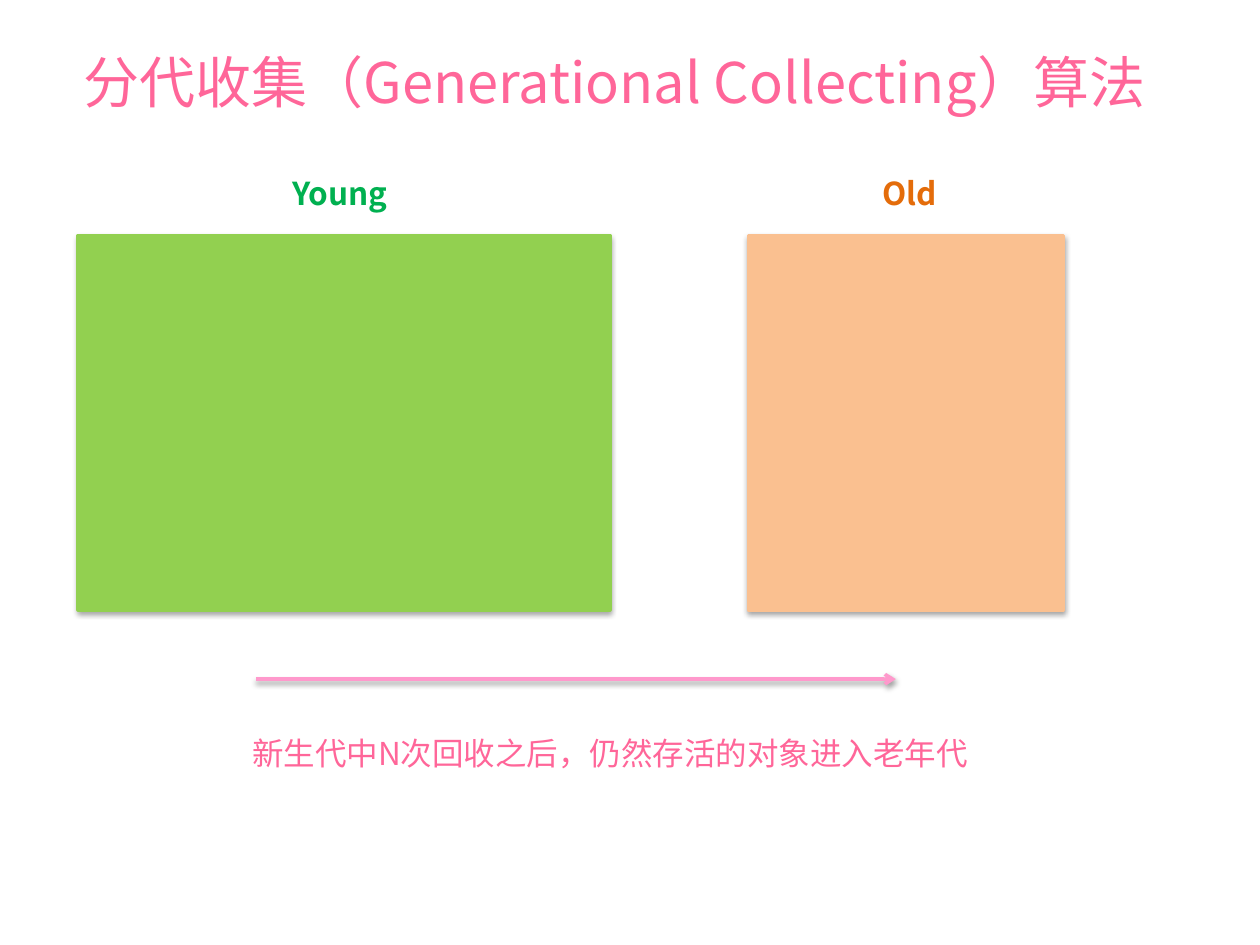
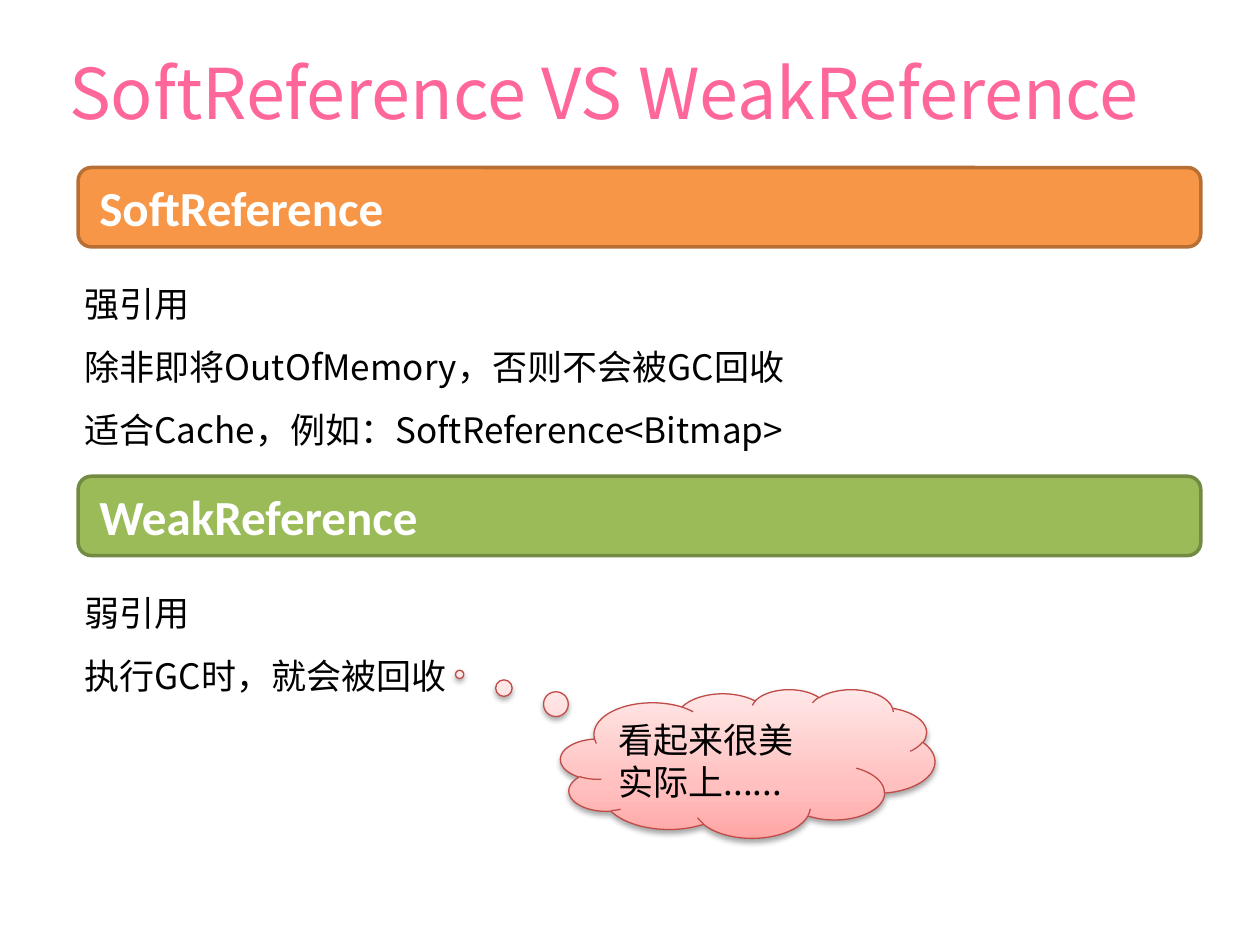
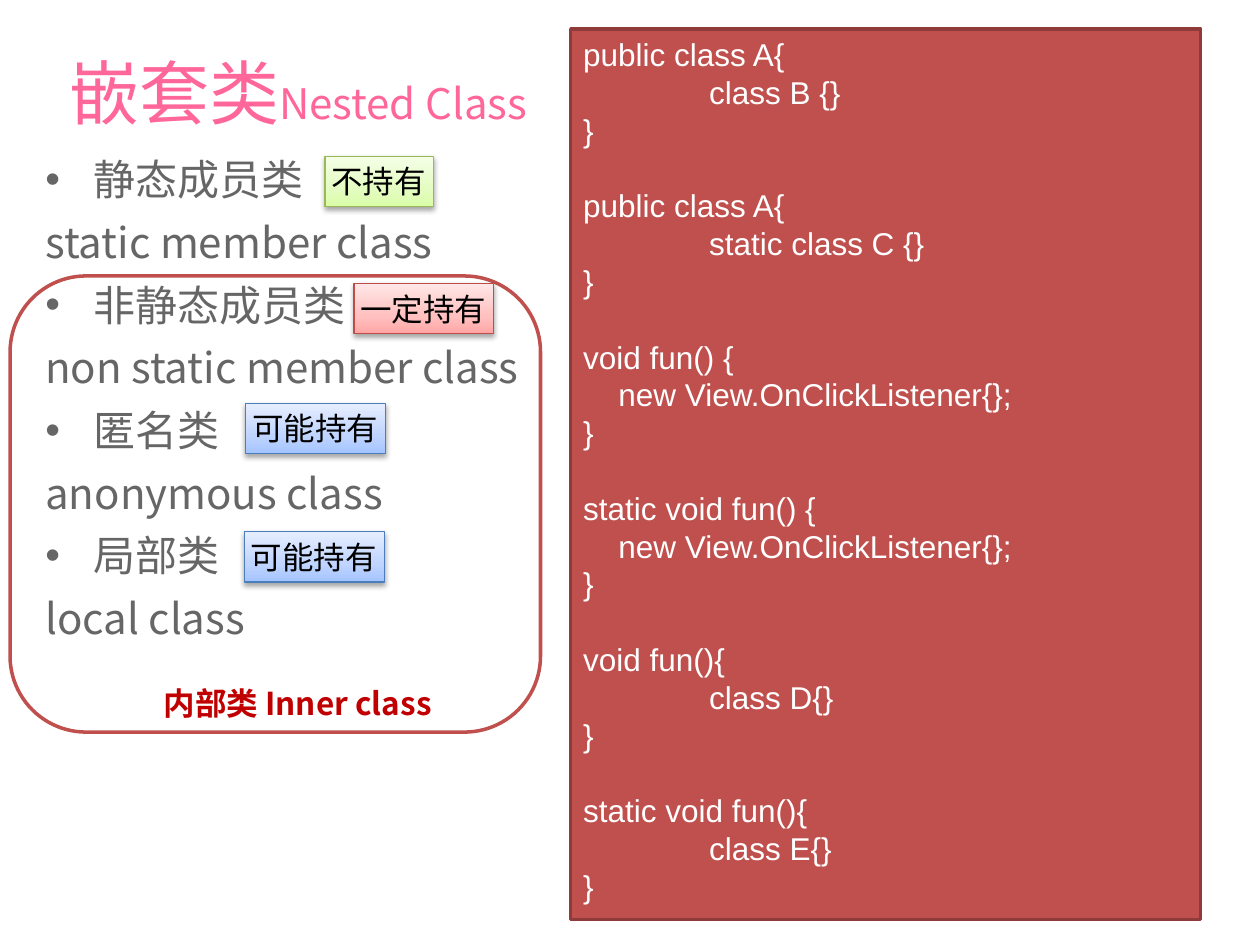
import copy
from dataclasses import dataclass
from typing import Any, Optional

import pptx
import pptx.dml.color
import pptx.enum.shapes
import pptx.enum.text
import pptx.oxml
import pptx.oxml.ns
import pptx.util
from pptx.util import Inches, Pt

COLORS = {
    "pink": "FF6699", "arrow": "FF99CC", "white": "FFFFFF", "black": "000000",
    "grey": "666666", "young": "92D050", "young_label": "00B050",
    "old": "FAC090", "old_label": "E46C0A", "soft": "F79646",
    "soft_edge": "B76F34", "weak": "9BBB59", "weak_edge": "738A42",
    "code": "C0504D", "code_edge": "8E3B39", "inner": "C00000",
    "green_edge": "98B955", "red_edge": "BF4C48", "blue_edge": "4B7EBC",
}
GRADIENTS = {
    "green": ("DAFDA7", "E4FCC2", "F5FFE7"),
    "red": ("FFA6A5", "FFC0BF", "FFE7E7"),
    "blue": ("A4C4FF", "BFD4FF", "E6EEFF"),
}
GRADIENT_POSITIONS = (0, 0.35, 1)
CJK_FONT = "Noto Sans CJK SC"
SHAPES = pptx.enum.shapes.MSO_SHAPE
ANCHOR = pptx.enum.text.MSO_ANCHOR
AUTO_SIZE = pptx.enum.text.MSO_AUTO_SIZE
LEFT = pptx.enum.text.PP_ALIGN.LEFT
qn = pptx.oxml.ns.qn
FRAME_FORMAT = {
    "word_wrap": True,
    "margin_left": Inches(0.05), "margin_right": Inches(0.05),
    "margin_top": Inches(0.05), "margin_bottom": Inches(0.05),
}
SINGLE = 1.2  # line height as a multiple of the text size


@dataclass
class Box:
    left: float
    top: float
    width: float
    height: float

    def lengths(self) -> tuple:
        return tuple(map(Inches, (self.left, self.top, self.width, self.height)))


@dataclass
class TextStyle:
    size: float
    color: str
    bold: bool = False
    font: str = CJK_FONT
    spacing: Optional[float] = None  # line pitch in points
    anchor: Any = ANCHOR.TOP
    auto_size: Any = AUTO_SIZE.SHAPE_TO_FIT_TEXT


@dataclass
class Look:
    fill: Optional[str]  # a colour name or a gradient name
    edge: str
    edge_width: float = 2
    shadow: bool = False


@dataclass
class Badge:
    text: str
    box: Box
    tone: str


@dataclass
class Section:
    name: str
    top: float
    tone: str
    lines: list


TITLE = TextStyle(40, "pink", anchor=ANCHOR.MIDDLE, auto_size=AUTO_SIZE.NONE)
BADGE = TextStyle(18, "black")


def rgb(name: str) -> pptx.dml.color.RGBColor:
    return pptx.dml.color.RGBColor.from_string(COLORS.get(name, name))


def set_all(target: Any, values: dict) -> None:
    for attribute, value in values.items():
        setattr(target, attribute, value)


def add_run(paragraph: Any, text: str, style: TextStyle, size: Optional[float] = None) -> None:
    run = paragraph.add_run()
    run.text = text
    set_all(run.font, {"size": Pt(size or style.size), "bold": style.bold, "name": style.font})
    run.font.color.rgb = rgb(style.color)
    east_asian = copy.deepcopy(run.font._element.find(qn("a:latin")))
    east_asian.tag = qn("a:ea")
    run.font._element.append(east_asian)


def write(frame: Any, lines: list, style: TextStyle) -> list:
    """Fill a text frame with one paragraph per line and return the paragraphs."""
    set_all(frame, FRAME_FORMAT)
    set_all(frame, {"vertical_anchor": style.anchor, "auto_size": style.auto_size})
    for index, line in enumerate(lines):
        paragraph = frame.add_paragraph() if index else frame.paragraphs[0]
        paragraph.alignment = LEFT
        if style.spacing:
            paragraph.line_spacing = Pt(style.spacing)
        add_run(paragraph, line, style)
    return list(frame.paragraphs)


def indent(paragraph: Any, left: float, first: float = 0) -> None:
    properties = paragraph._p.get_or_add_pPr()
    properties.set("marL", str(Inches(left)))
    properties.set("indent", str(Inches(first)))


def cast_shadow(item: Any, opacity: int, distance: float) -> None:
    """Put a soft shadow below a shape or connector whose line is already set."""
    properties = item.element.spPr
    for effects in properties.findall(qn("a:effectLst")):
        properties.remove(effects)
    properties.append(pptx.oxml.parse_xml(
        f'<a:effectLst {pptx.oxml.ns.nsdecls("a")}>'
        f'<a:outerShdw blurRad="{Pt(3)}" dist="{Pt(distance)}" dir="5400000" rotWithShape="0">'
        f'<a:srgbClr val="{COLORS["black"]}"><a:alpha val="{opacity * 1000}"/></a:srgbClr>'
        '</a:outerShdw></a:effectLst>'))


def fill_gradient(shape: Any, name: str) -> None:
    shape.fill.gradient()
    shape.fill.gradient_angle = 90
    stop_list = shape.element.spPr.find(qn("a:gradFill")).find(qn("a:gsLst"))
    stop_list.append(copy.deepcopy(stop_list[-1]))
    for stop, color, position in zip(shape.fill.gradient_stops, GRADIENTS[name], GRADIENT_POSITIONS):
        stop.color.rgb = rgb(color)
        stop.position = position


def add_shape(slide: Any, kind: Any, box: Box, look: Look) -> Any:
    shape = slide.shapes.add_shape(kind, *box.lengths())
    shape.shadow.inherit = False
    if look.fill is None:
        shape.fill.background()
    elif look.fill in GRADIENTS:
        fill_gradient(shape, look.fill)
    else:
        shape.fill.solid()
        shape.fill.fore_color.rgb = rgb(look.fill)
    shape.line.color.rgb = rgb(look.edge)
    shape.line.width = Pt(look.edge_width)
    if look.shadow:
        cast_shadow(shape, 35, 1.8)
    return shape


def add_text(slide: Any, box: Box, lines: list, style: TextStyle) -> None:
    write(slide.shapes.add_textbox(*box.lengths()).text_frame, lines, style)


def place(placeholder: Any, box: Box) -> None:
    set_all(placeholder, dict(zip(("left", "top", "width", "height"), box.lengths())))


def add_titled_slide(deck: Any, title: str, layout: int = 5, left: float = 0.5,
                     top: float = 0, size: float = 40) -> Any:
    slide = deck.slides.add_slide(deck.slide_layouts[layout])
    place(slide.shapes.title, Box(left, top, 9, 1.45))
    paragraph = write(slide.shapes.title.text_frame, [""], TITLE)[0]
    paragraph.runs[0].text = title
    paragraph.runs[0].font.size = Pt(size)
    return slide


def gradient_look(tone: str) -> Look:
    return Look(tone, f"{tone}_edge", 0.75, shadow=True)


def build_generations(deck: Any) -> None:
    slide = add_titled_slide(deck, "分代收集（Generational Collecting）算法",
                             left=0.61, top=-0.08, size=32)
    generations = [
        ("Young", "young", Box(0.62, 1.87, 4.22, 2.97), Box(2.27, 1.33, 0.92, 0.4)),
        ("Old", "old", Box(5.94, 1.87, 2.5, 2.97), Box(6.95, 1.33, 0.55, 0.4)),
    ]
    for name, tone, heap, label in generations:
        add_shape(slide, SHAPES.RECTANGLE, heap, Look(tone, tone, shadow=True))
        add_text(slide, label, [name], TextStyle(18, f"{tone}_label", bold=True))

    promotion = slide.shapes.add_connector(
        pptx.enum.shapes.MSO_CONNECTOR.STRAIGHT,
        Inches(2.03), Inches(5.39), Inches(7.11), Inches(5.39))
    promotion.line.color.rgb = rgb("arrow")
    promotion.line.width = Pt(2)
    line = promotion.element.spPr.find(qn("a:ln"))
    line.append(pptx.oxml.parse_xml(f'<a:tailEnd {pptx.oxml.ns.nsdecls("a")} type="arrow"/>'))
    cast_shadow(promotion, 38, 1.6)
    add_text(slide, Box(1.95, 5.78, 5.82, 0.4),
             ["新生代中N次回收之后，仍然存活的对象进入老年代"],
             TextStyle(18, "pink", spacing=18 * SINGLE))


def build_references(deck: Any) -> None:
    slide = add_titled_slide(deck, "SoftReference VS WeakReference")
    sections = [
        Section("SoftReference", 1.33, "soft", [
            "强引用", "除非即将OutOfMemory，否则不会被GC回收",
            "适合Cache，例如：SoftReference<Bitmap>"]),
        Section("WeakReference", 3.78, "weak", ["弱引用", "执行GC时，就会被回收"]),
    ]
    for section in sections:
        band = add_shape(slide, SHAPES.ROUNDED_RECTANGLE, Box(0.62, section.top, 8.91, 0.63),
                         Look(section.tone, f"{section.tone}_edge"))
        write(band.text_frame, [f" {section.name}"],
              TextStyle(28, "white", bold=True, font="Calibri"))
        add_text(slide, Box(0.62, section.top + 0.7, 8.44, 0.1 + 0.5 * len(section.lines)),
                 section.lines, TextStyle(20, "black", spacing=20 * SINGLE * 1.5))

    thought = add_shape(slide, SHAPES.CLOUD_CALLOUT, Box(4.45, 5.47, 2.97, 1.18),
                        gradient_look("red"))
    thought.adjustments[0], thought.adjustments[1] = -0.77, -0.6
    write(thought.text_frame, ["看起来很美", "实际上......"],
          TextStyle(20, "black", spacing=20 * SINGLE, anchor=ANCHOR.MIDDLE))


def add_class_list(slide: Any) -> None:
    kinds = [
        ("静态成员类", "static member class"),
        ("非静态成员类", "non static member class"),
        ("匿名类", "anonymous class"),
        ("局部类", "local class"),
    ]
    body = slide.placeholders[1]
    place(body, Box(0.31, 1.17, 9, 6.03))
    paragraphs = write(body.text_frame, [name for kind in kinds for name in kind],
                       TextStyle(24, "grey", spacing=24 * SINGLE, auto_size=AUTO_SIZE.NONE))
    for index, paragraph in enumerate(paragraphs):
        paragraph.space_before = Pt(7)
        indent(paragraph, 0.38, -0.38)
        bullet = 'buNone' if index % 2 else 'buChar char="•"'
        paragraph._p.pPr.append(
            pptx.oxml.parse_xml(f'<a:{bullet} {pptx.oxml.ns.nsdecls("a")}/>'))


def add_code(slide: Any) -> None:
    snippets = [
        ("public class A{", "class B {}", 1),
        ("public class A{", "static class C {}", 1),
        ("void fun() {", "new View.OnClickListener{};", 0.28),
        ("static void fun() {", "new View.OnClickListener{};", 0.28),
        ("void fun(){", "class D{}", 1),
        ("static void fun(){", "class E{}", 1),
    ]
    pitch = 18 * SINGLE
    panel = add_shape(slide, SHAPES.RECTANGLE, Box(4.53, 0.23, 5, 7.07), Look("code", "code_edge"))
    lines = [line for head, member, _ in snippets for line in (head, member, "}")]
    paragraphs = write(panel.text_frame, lines,
                       TextStyle(18, "white", font="Arial", spacing=pitch))
    panel.text_frame.margin_left = panel.text_frame.margin_right = Inches(0.1)
    for index, (_, _, depth) in enumerate(snippets):
        indent(paragraphs[3 * index + 1], depth)
        if index:
            paragraphs[3 * index].space_before = Pt(pitch)


def build_nested_classes(deck: Any) -> None:
    slide = add_titled_slide(deck, "嵌套类", layout=1)
    add_run(slide.shapes.title.text_frame.paragraphs[0], "Nested Class", TITLE, size=24)
    add_shape(slide, SHAPES.ROUNDED_RECTANGLE, Box(0.08, 2.19, 4.21, 3.62), Look(None, "code"))
    add_class_list(slide)
    add_code(slide)
    add_text(slide, Box(1.25, 5.38, 2.38, 0.4), ["内部类 Inner class"],
             TextStyle(18, "inner", bold=True))
    badges = [
        Badge("不持有", Box(2.58, 1.24, 0.86, 0.4), "green"),
        Badge("一定持有", Box(2.81, 2.25, 1.11, 0.4), "red"),
        Badge("可能持有", Box(1.95, 3.2, 1.11, 0.4), "blue"),
        Badge("可能持有", Box(1.94, 4.22, 1.11, 0.4), "blue"),
    ]
    for badge in badges:
        shape = add_shape(slide, SHAPES.RECTANGLE, badge.box, gradient_look(badge.tone))
        write(shape.text_frame, [badge.text], BADGE)


def main() -> None:
    deck = pptx.Presentation()
    deck.slide_width, deck.slide_height = Inches(10), Inches(7.5)
    build_generations(deck)
    build_references(deck)
    build_nested_classes(deck)
    deck.save("out.pptx")


if __name__ == "__main__":
    main()
